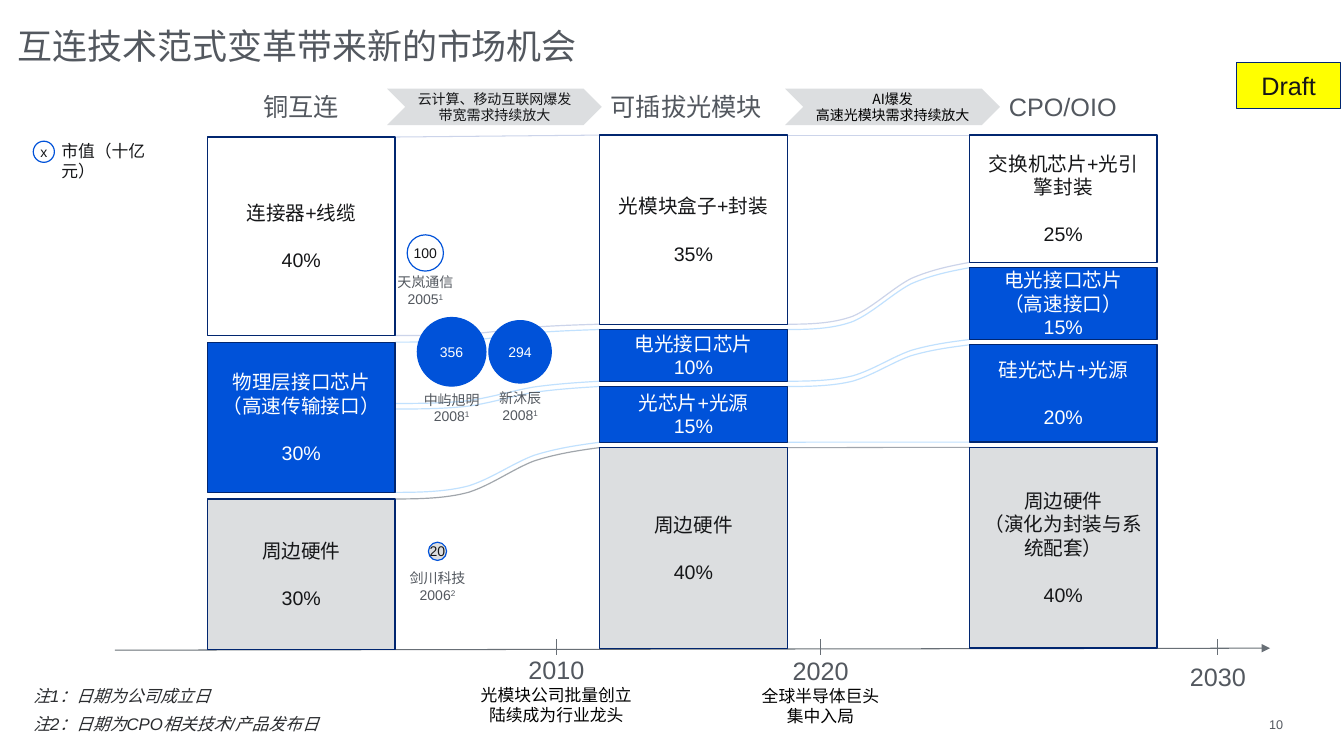
from dataclasses import dataclass
from itertools import accumulate
from lxml.etree import SubElement
from pptx import Presentation
from pptx.dml.color import RGBColor
from pptx.enum.shapes import MSO_CONNECTOR, MSO_SHAPE
from pptx.enum.text import MSO_ANCHOR, MSO_AUTO_SIZE, PP_ALIGN
from pptx.oxml.ns import qn
from pptx.util import Pt


@dataclass(frozen=True)
class Theme:
    latin: str = "Arial"
    chinese: str = "Noto Sans CJK SC"
    white: str = "FFFFFF"
    black: str = "000000"
    ink: str = "151618"
    note: str = "2A2C2F"
    slate: str = "53585F"
    axis: str = "686F76"
    blue: str = "0052D9"
    navy: str = "012670"
    grey: str = "DCDEE0"
    yellow: str = "FFFF00"
    pale_flow: str = "CCD4EA"
    blue_flow: str = "C1E1FE"
    grey_flow: str = "A1A6AC"
    title: float = 25
    heading: float = 18
    block: float = 14
    body: float = 12
    small: float = 10
    page: float = 9
    outline: float = 0.85
    hairline: float = 0.75


THEME = Theme()


@dataclass(frozen=True)
class Line:
    text: str
    size: float
    color: str = THEME.ink
    font: str = THEME.latin
    before: float = 0
    after: float = 0
    italic: bool = False
    footnote: str = ""


@dataclass(frozen=True)
class Stack:
    left: float
    top: float
    gap: float
    heights: tuple
    width: float = 133.9

    @property
    def right(self):
        return self.left + self.width

    @property
    def tops(self):
        steps = [height + self.gap for height in self.heights[:-1]]
        return list(accumulate(steps, initial=self.top))

    @property
    def bottoms(self):
        return [top + height for top, height in zip(self.tops, self.heights)]


COPPER = Stack(148.3, 97.9, 4.7, (141.8, 107.3, 107.3))
PLUGGABLE = Stack(428.4, 96.5, 3.8, (135.1, 36.9, 39.8, 143.3))
CPO = Stack(692.6, 96.5, 3.8, (90.9, 51.3, 69.5, 143.3))

FLOW_CURVE = [(0, 0), (0.12, 0), (0.25, 0.01), (0.36, 0.13), (0.47, 0.27), (0.58, 0.59),
              (0.68, 0.74), (0.79, 0.88), (0.89, 0.94), (1, 1)]


def rgb(color):
    return RGBColor.from_string(color)


def add_run(paragraph, text, line):
    run = paragraph.add_run()
    run.text = text
    run.font.size = Pt(line.size)
    run.font.name = line.font
    run.font.italic = line.italic
    run.font.bold = False
    run.font.color.rgb = rgb(line.color)
    properties = run._r.get_or_add_rPr()
    SubElement(properties, qn("a:ea")).set("typeface", THEME.chinese)
    return properties


def write(frame, lines, align=PP_ALIGN.CENTER, anchor=MSO_ANCHOR.TOP, inset=True, wrap=True):
    frame.word_wrap = wrap
    frame.auto_size = MSO_AUTO_SIZE.NONE
    frame.vertical_anchor = anchor
    frame.margin_left = frame.margin_right = Pt(7.2 if inset else 0)
    frame.margin_top = frame.margin_bottom = Pt(3.6 if inset else 0)
    for index, line in enumerate(lines):
        paragraph = frame.add_paragraph() if index else frame.paragraphs[0]
        paragraph.alignment = align
        paragraph.space_before = Pt(line.before)
        paragraph.space_after = Pt(line.after)
        add_run(paragraph, line.text, line)
        if line.footnote:
            add_run(paragraph, line.footnote, line).set("baseline", "30000")


def add_label(slide, left, top, width, height, lines, **layout):
    label = slide.shapes.add_textbox(Pt(left), Pt(top), Pt(width), Pt(height))
    write(label.text_frame, lines, **layout)


def add_panel(slide, preset, left, top, width, height, fill, outline, lines, **layout):
    panel = slide.shapes.add_shape(preset, Pt(left), Pt(top), Pt(width), Pt(height))
    panel.shadow.inherit = False
    panel.fill.solid()
    panel.fill.fore_color.rgb = rgb(fill)
    if outline:
        panel.line.color.rgb = rgb(outline)
        panel.line.width = Pt(THEME.outline)
    else:
        panel.line.fill.background()
    write(panel.text_frame, lines, anchor=MSO_ANCHOR.MIDDLE, **layout)


def add_line(slide, x1, y1, x2, y2, color, arrow=False):
    connector = slide.shapes.add_connector(MSO_CONNECTOR.STRAIGHT, Pt(x1), Pt(y1), Pt(x2), Pt(y2))
    connector.line.color.rgb = rgb(color)
    connector.line.width = Pt(THEME.hairline)
    if arrow:
        SubElement(connector.line._get_or_add_ln(), qn("a:tailEnd")).set("type", "triangle")
    SubElement(connector._element.spPr, qn("a:effectLst"))


def add_curve(slide, x1, y1, x2, y2, color):
    points = [(Pt(x1 + (x2 - x1) * u), Pt(y1 + (y2 - y1) * v)) for u, v in FLOW_CURVE]
    builder = slide.shapes.build_freeform(*points[0])
    builder.add_line_segments(points[1:], close=False)
    curve = builder.convert_to_shape()
    curve.shadow.inherit = False
    curve.fill.background()
    curve.line.color.rgb = rgb(color)
    curve.line.width = Pt(THEME.outline)
    segments = list(curve._element.iter(qn("a:lnTo")))
    outline = segments[0].getparent()
    for start in range(0, len(segments), 3):
        bezier = SubElement(outline, qn("a:cubicBezTo"))
        for segment in segments[start:start + 3]:
            bezier.append(segment[0])
            outline.remove(segment)


def add_flows(slide, source, target, levels):
    for start, end, color in levels:
        draw = add_line if abs(start - end) < 2 else add_curve
        draw(slide, source.right, start, target.left, end, color)


def add_stack(slide, stack, blocks):
    for top, height, (fill, names, share, gap) in zip(stack.tops, stack.heights, blocks):
        color = THEME.white if fill == THEME.blue else THEME.ink
        lines = [Line(name, THEME.block, color) for name in names]
        lines.append(Line(share, THEME.block, color, before=gap))
        add_panel(slide, MSO_SHAPE.RECTANGLE, stack.left, top, stack.width, height, fill, THEME.navy, lines)


def add_bubble(slide, center_x, center_y, diameter, fill, value):
    color = THEME.white if fill == THEME.blue else THEME.ink
    add_panel(slide, MSO_SHAPE.OVAL, center_x - diameter / 2, center_y - diameter / 2, diameter, diameter,
              fill, THEME.blue, [Line(value, THEME.small, color)], inset=False, wrap=False)


def add_milestone(slide, center, top, width, year, events=()):
    add_line(slide, center, 456.5, center, 468, THEME.axis)
    lines = [Line(year, THEME.heading, THEME.slate)]
    lines += [Line(event, THEME.body, THEME.black, THEME.chinese) for event in events]
    add_label(slide, center - width / 2, top, width, 58 if events else 29, lines)


def main():
    presentation = Presentation()
    presentation.slide_width, presentation.slide_height = Pt(960), Pt(540)
    slide = presentation.slides.add_slide(presentation.slide_layouts[5])
    title = slide.shapes.title
    title.left, title.top, title.width, title.height = Pt(12.6), Pt(3.6), Pt(761.8), Pt(57.6)
    write(title.text_frame, [Line("互连技术范式变革带来新的市场机会", THEME.title, THEME.slate)],
          align=PP_ALIGN.LEFT, anchor=MSO_ANCHOR.MIDDLE, inset=False)

    pale, blue, grey = THEME.pale_flow, THEME.blue_flow, THEME.grey_flow
    add_flows(slide, COPPER, PLUGGABLE, [
        (COPPER.top, PLUGGABLE.top, pale),
        (COPPER.bottoms[0], PLUGGABLE.bottoms[0], pale),
        (COPPER.tops[1], PLUGGABLE.tops[1], blue),
        (288.2, PLUGGABLE.bottoms[1], blue),
        (292.2, PLUGGABLE.tops[2], blue),
        (COPPER.bottoms[1], PLUGGABLE.bottoms[2], blue),
        (COPPER.tops[2], PLUGGABLE.tops[3], grey)])
    edges = [(PLUGGABLE.top, CPO.top, pale)]
    for index in range(3):
        edges.append((PLUGGABLE.bottoms[index], CPO.bottoms[index], blue if index else pale))
        edges.append((PLUGGABLE.tops[index + 1], CPO.tops[index + 1], grey if index == 2 else blue))
    add_flows(slide, PLUGGABLE, CPO, edges)

    add_line(slide, 82.1, 464.4, 907.2, 463, THEME.axis, arrow=True)
    add_stack(slide, COPPER, [
        (THEME.white, ["连接器+线缆"], "40%", 17),
        (THEME.blue, ["物理层接口芯片", "（高速传输接口）"], "30%", 17),
        (THEME.grey, ["周边硬件"], "30%", 17)])
    add_stack(slide, PLUGGABLE, [
        (THEME.white, ["光模块盒子+封装"], "35%", 17),
        (THEME.blue, ["电光接口芯片"], "10%", 0),
        (THEME.blue, ["光芯片+光源"], "15%", 0),
        (THEME.grey, ["周边硬件"], "40%", 17)])
    add_stack(slide, CPO, [
        (THEME.white, ["交换机芯片+光引擎封装"], "25%", 17),
        (THEME.blue, ["电光接口芯片", "（高速接口）"], "15%", 0),
        (THEME.blue, ["硅光芯片+光源"], "20%", 17),
        (THEME.grey, ["周边硬件", "（演化为封装与系统配套）"], "40%", 17)])

    for center, heading in ((214.9, "铜互连"), (490.3, "可插拔光模块"), (759.2, "CPO/OIO")):
        add_label(slide, center - 100, 61.7, 200, 29, [Line(heading, THEME.heading, THEME.slate)])
    for left, color, drivers in ((276.5, THEME.ink, ("云计算、移动互联网爆发", "带宽需求持续放大")),
                                 (560.9, THEME.black, ("AI爆发", "高速光模块需求持续放大"))):
        add_panel(slide, MSO_SHAPE.CHEVRON, left, 63.4, 153.4, 25.9, THEME.grey, None,
                  [Line(driver, THEME.small, color, THEME.chinese) for driver in drivers])

    add_milestone(slide, 397.4, 463.9, 131.8, "2010", ("光模块公司批量创立", "陆续成为行业龙头"))
    add_milestone(slide, 586.1, 464.4, 106.6, "2020", ("全球半导体巨头集中入局",))
    add_milestone(slide, 870, 468.7, 106.6, "2030")

    for center_x, center_y, diameter, fill, value, company, year, footnote, label_top in (
            (303.8, 180.7, 25.9, THEME.white, "100", "天岚通信", "2005", "1", 192.2),
            (322.6, 251.3, 49, THEME.blue, "356", "中屿旭明", "2008", "1", 275.8),
            (312.5, 393.8, 13, THEME.grey, "20", "剑川科技", "2006", "2", 403.2),
            (371.5, 251.3, 44.6, THEME.blue, "294", "新沐辰", "2008", "1", 275)):
        add_bubble(slide, center_x, center_y, diameter, fill, value)
        add_label(slide, center_x - 58.3, label_top, 116.6, 31.7,
                  [Line(company, THEME.small, THEME.slate),
                   Line(year, THEME.small, THEME.slate, footnote=footnote)])

    add_bubble(slide, 31.3, 108.4, 15.1, THEME.white, "x")
    add_label(slide, 36.7, 97.2, 90, 36, [Line("市值（十亿元）", THEME.body)], align=PP_ALIGN.LEFT)
    add_panel(slide, MSO_SHAPE.RECTANGLE, 883.4, 44.6, 74.2, 33.1, THEME.yellow, THEME.navy,
              [Line("Draft", THEME.heading)])
    add_label(slide, 23.8, 489.6, 582.5, 33.1,
              [Line("注1：日期为公司成立日", THEME.body, THEME.note, after=3, italic=True),
               Line("注2：日期为CPO相关技术/产品发布日", THEME.body, THEME.note, before=3, after=3, italic=True)],
              align=PP_ALIGN.LEFT, inset=False)
    add_label(slide, 890.6, 511.9, 25.9, 10.8, [Line("10", THEME.page, THEME.slate)],
              align=PP_ALIGN.RIGHT, anchor=MSO_ANCHOR.BOTTOM, inset=False)
    presentation.save("out.pptx")


if __name__ == "__main__":
    main()
